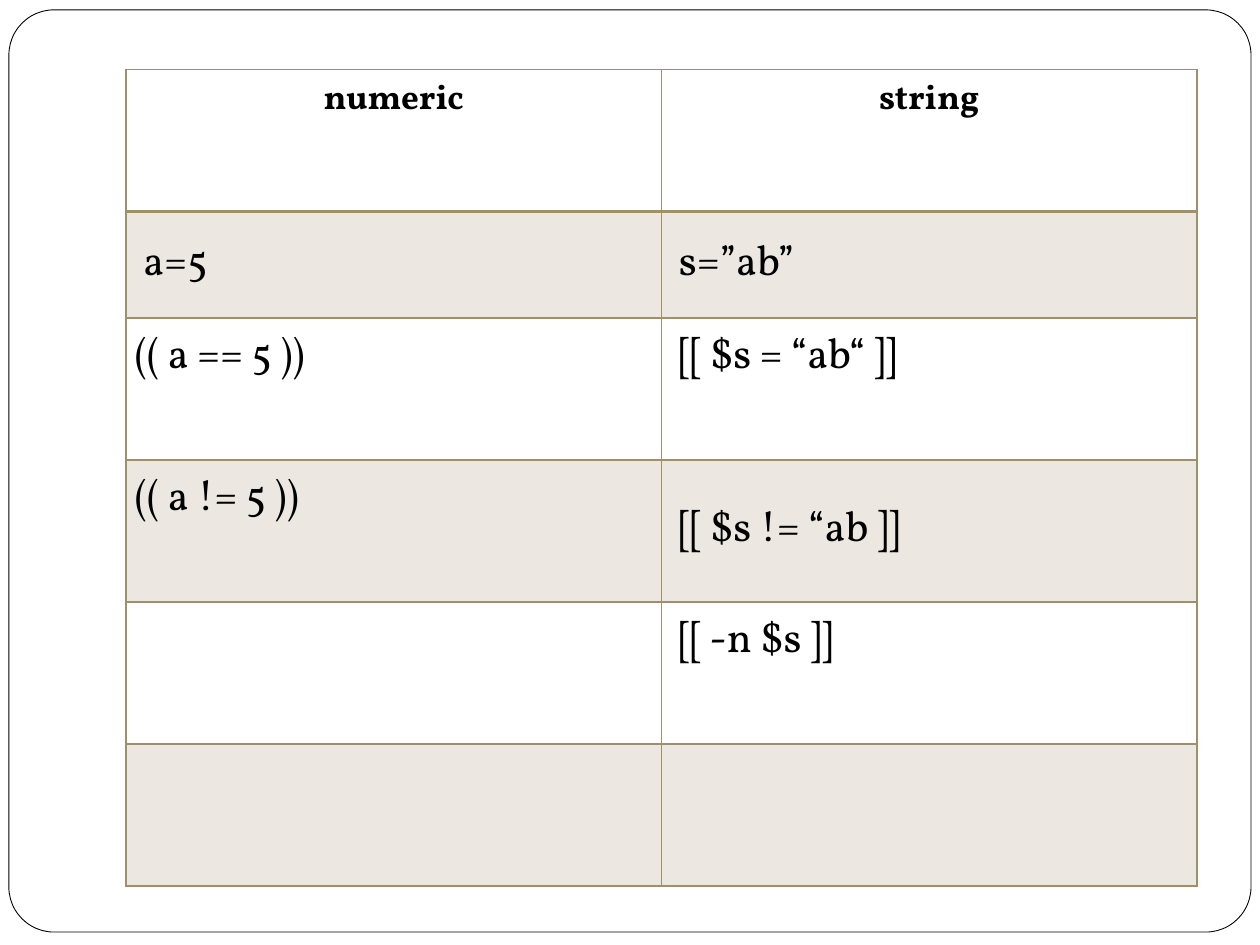
import pptx
import pptx.dml.color
import pptx.enum.shapes
import pptx.enum.text
import pptx.oxml
import pptx.oxml.ns
import pptx.util
from pptx.util import Cm, Pt

RGBColor = pptx.dml.color.RGBColor
PP_ALIGN = pptx.enum.text.PP_ALIGN
MSO_ANCHOR = pptx.enum.text.MSO_ANCHOR

BLACK = RGBColor(0x00, 0x00, 0x00)
WHITE = RGBColor(0xFF, 0xFF, 0xFF)
TAN = RGBColor(0xA2, 0x8E, 0x6A)
FONT = "Vollkorn"

HEADERS = ["numeric", "string"]
EXAMPLES = [
    [" a=5", " s=”ab”"],
    ["(( a == 5 ))", " [[ $s = “ab“ ]]"],
    ["(( a != 5 ))", " [[ $s != “ab ]]"],
    ["", " [[ -n $s ]]"],
    ["", ""],
]
RAISED = {"(( a == 5 ))", " [[ $s = “ab“ ]]", "(( a != 5 ))", " [[ -n $s ]]"}


def write(tf, text, size=24, bold=False, align=PP_ALIGN.LEFT):
    p = tf.paragraphs[0]
    p.alignment = align
    r = p.add_run()
    r.text = text
    r.font.name = FONT
    r.font.size = Pt(size)
    r.font.bold = bold
    r.font.color.rgb = BLACK


def set_borders(cell, top=1, bottom=1):
    """Draw all four sides of a cell, with widths in points."""
    tcPr = cell._tc.get_or_add_tcPr()
    for side, width in (("L", 1), ("R", 1), ("T", top), ("B", bottom)):
        tcPr.append(pptx.oxml.parse_xml(
            f'<a:ln{side} {pptx.oxml.ns.nsdecls("a")} w="{Pt(width)}">'
            f'<a:solidFill><a:srgbClr val="{TAN}"/></a:solidFill></a:ln{side}>'))


def set_band(cell, shaded):
    """Fill a cell with the 20 % tint, or leave it clear."""
    if not shaded:
        cell.fill.background()
        return
    cell.fill.solid()
    cell.fill.fore_color.rgb = TAN
    color = cell._tc.tcPr.find(".//" + pptx.oxml.ns.qn("a:solidFill")
                               + "[last()]/" + pptx.oxml.ns.qn("a:srgbClr"))
    fill = cell._tc.tcPr.findall(pptx.oxml.ns.qn("a:solidFill"))[-1]
    color = fill[0]
    color.append(pptx.oxml.parse_xml(
        f'<a:alpha {pptx.oxml.ns.nsdecls("a")} val="20000"/>'))


def add_frame(slide, left, top, width, height):
    sp = slide.shapes.add_shape(
        pptx.enum.shapes.MSO_SHAPE.ROUNDED_RECTANGLE, left, top, width, height)
    sp.adjustments[0] = 0.049
    sp.shadow.inherit = False
    sp.fill.solid()
    sp.fill.fore_color.rgb = WHITE
    sp.line.color.rgb = BLACK
    sp.line.width = Pt(0.5)


def add_comparison(slide, left, top, width, height):
    rows = [HEADERS] + EXAMPLES
    table = slide.shapes.add_table(
        len(rows), len(HEADERS), left, top, width, height).table
    table.first_row = table.horz_banding = False
    for column in table.columns:
        column.width = width // len(HEADERS)
    first_example = Cm(2.15)
    for i, row in enumerate(table.rows):
        row.height = (first_example if i == 1
                      else (height - first_example) // (len(rows) - 1))

    for i, texts in enumerate(rows):
        for j, text in enumerate(texts):
            cell = table.cell(i, j)
            set_borders(cell, top=2 if i == 1 else 1, bottom=2 if i == 0 else 1)
            set_band(cell, shaded=i % 2 == 1)
            if i == 0:
                write(cell.text_frame, text, size=20, bold=True,
                      align=PP_ALIGN.CENTER)
            elif text:
                cell.vertical_anchor = MSO_ANCHOR.MIDDLE
                cell.margin_left = cell.margin_right = Cm(0.18)
                cell.margin_top = 0
                cell.margin_bottom = Cm(1.25) if text in RAISED else 0
                write(cell.text_frame, text)


def main():
    prs = pptx.Presentation()
    prs.slide_width, prs.slide_height = Cm(25.4), Cm(19.05)
    slide = prs.slides.add_slide(prs.slide_layouts[6])
    add_frame(slide, Cm(0.18), Cm(0.2), Cm(25.04), Cm(18.59))
    add_comparison(slide, Cm(2.54), Cm(1.4), Cm(21.59), Cm(16.46))
    prs.save("out.pptx")


if __name__ == "__main__":
    main()
